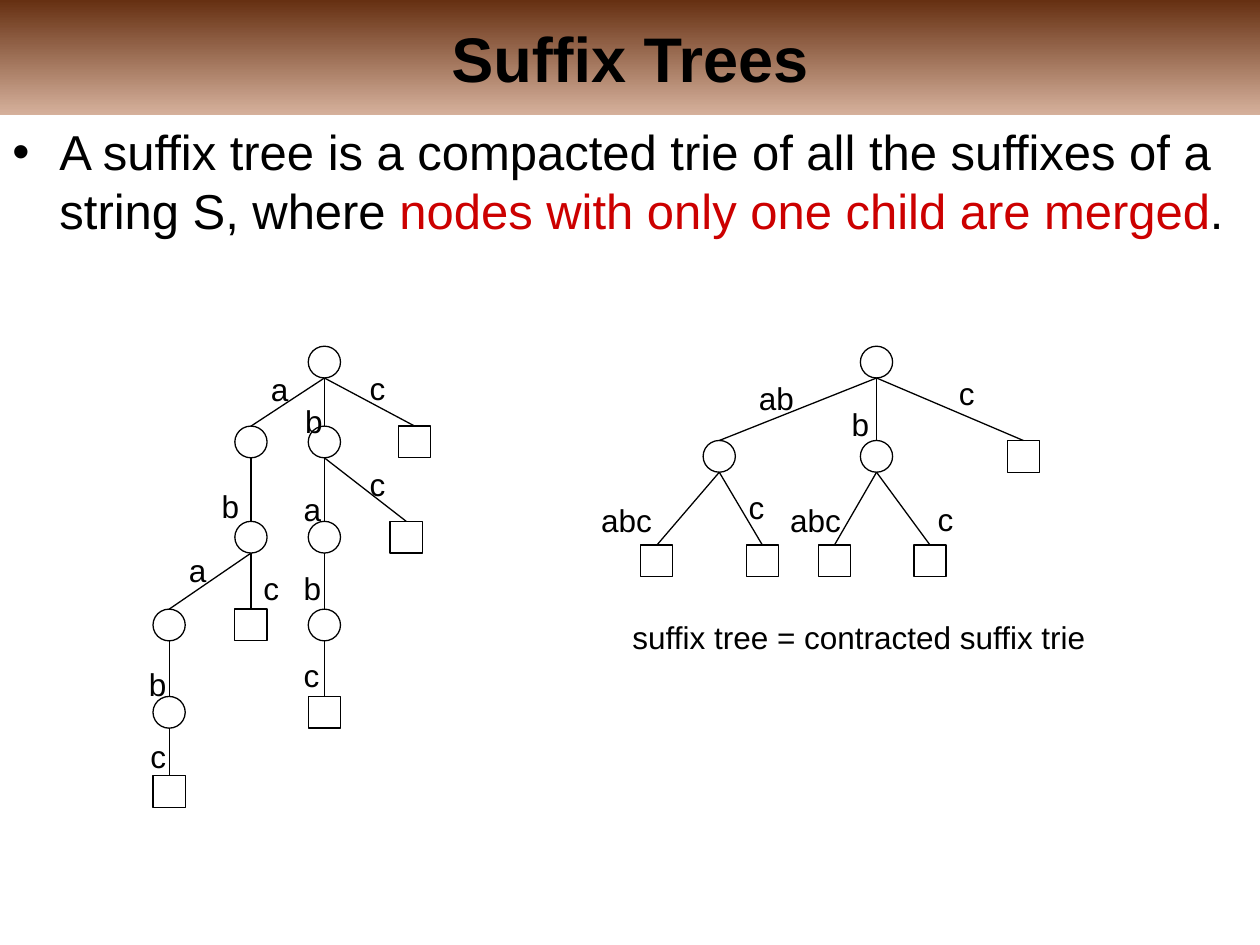
import dataclasses

import lxml.etree
import pptx
import pptx.dml.color
import pptx.enum.shapes
import pptx.enum.text
import pptx.oxml.ns
import pptx.util
from pptx.util import Cm, Pt

RGB = pptx.dml.color.RGBColor
SHAPE = pptx.enum.shapes.MSO_SHAPE
ALIGN = pptx.enum.text.PP_ALIGN
qn = pptx.oxml.ns.qn


@dataclasses.dataclass(frozen=True)
class Theme:
    font: str = "Arial"
    ink: RGB = RGB(0, 0, 0)
    accent: RGB = RGB(0xCC, 0, 0)
    banner_dark: RGB = RGB(0x66, 0x30, 0x12)
    banner_light: RGB = RGB(0xD6, 0xB1, 0x9C)
    title_size: pptx.util.Length = Pt(36)
    body_size: pptx.util.Length = Pt(28)
    label_size: pptx.util.Length = Pt(18)
    stroke: pptx.util.Length = Pt(0.75)


THEME = Theme()
NODE_WIDTH, NODE_HEIGHT = 0.65, 0.64
LABEL_HEIGHT = 1.02
LETTER_WIDTHS = {"a": 0.36, "b": 0.36, "c": 0.32}
LABEL_PADDING = 0.52

# Each node: path from the root, label of the edge above it, centre x, row,
# and the corner (x, y) of that label. All lengths are in cm.
TRIE_ROWS = (0, 1.61, 3.53, 5.3, 7.06, 8.66)
TRIE = (
    ("", "", 3.79, 0, None),
    ("a", "a", 2.31, 1, (2.46, 0.36)),
    ("b", "b", 3.79, 1, (3.15, 0.99)),
    ("c", "c", 5.61, 1, (4.45, 0.33)),
    ("ab", "b", 2.31, 2, (1.47, 2.72)),
    ("ba", "a", 3.79, 2, (3.12, 2.77)),
    ("bc", "c", 5.44, 2, (4.45, 2.26)),
    ("aba", "a", 0.66, 3, (0.81, 4.01)),
    ("abc", "c", 2.31, 3, (2.31, 4.37)),
    ("bab", "b", 3.79, 3, (3.12, 4.37)),
    ("abab", "b", 0.66, 4, (0, 6.3)),
    ("babc", "c", 3.79, 4, (3.12, 6.12)),
    ("ababc", "c", 0.66, 5, (0.03, 7.75)),
)
SUFFIX_TREE_ROWS = (0, 1.9, 4.01)
SUFFIX_TREE = (
    ("", "", 5.8, 0, None),
    ("ab", "ab", 2.63, 1, (3.18, 0.53)),
    ("b", "b", 5.8, 1, (5.05, 1.07)),
    ("c", "c", 8.76, 1, (7.21, 0.43)),
    ("ababc", "abc", 1.37, 2, (0, 3)),
    ("abc", "c", 3.5, 2, (2.97, 2.74)),
    ("babc", "abc", 4.95, 2, (3.81, 3)),
    ("bc", "c", 6.88, 2, (6.78, 2.97)),
)


def style(font, size, color=THEME.ink, bold=False):
    font.name, font.size, font.bold = THEME.font, size, bold
    font.color.rgb = color


def add_banner(slide, left, top, width, height):
    banner = slide.shapes.add_shape(SHAPE.RECTANGLE, Cm(left), Cm(top), Cm(width), Cm(height))
    banner.shadow.inherit = False
    banner.line.fill.background()
    banner.fill.gradient()
    banner.fill.gradient_angle = 270
    for stop, color in zip(banner.fill.gradient_stops, (THEME.banner_dark, THEME.banner_light)):
        stop.color.rgb = color
    banner.text_frame.text = "Suffix Trees"
    title = banner.text_frame.paragraphs[0]
    title.alignment = ALIGN.CENTER
    style(title.runs[0].font, THEME.title_size, bold=True)


def add_definition(slide, left, top, width, height):
    box = slide.shapes.add_textbox(Cm(left), Cm(top), Cm(width), Cm(height))
    box.text_frame.word_wrap = True
    definition = box.text_frame.paragraphs[0]
    properties = definition._p.get_or_add_pPr()
    properties.set("marL", str(Cm(0.95)))
    properties.set("indent", str(Cm(-0.95)))
    lxml.etree.SubElement(properties, qn("a:buFont"), typeface=THEME.font)
    lxml.etree.SubElement(properties, qn("a:buChar"), char="•")
    for wording, color in (
        ("A suffix tree is a compacted trie of all the suffixes of a string S, where ", THEME.ink),
        ("nodes with only one child are merged", THEME.accent),
        (".", THEME.ink),
    ):
        run = definition.add_run()
        run.text = wording
        style(run.font, THEME.body_size, color)


def add_label(shapes, wording, left, top, width):
    label = shapes.add_textbox(Cm(left), Cm(top), Cm(width), Cm(LABEL_HEIGHT))
    label.text_frame.word_wrap = False
    label.text_frame.auto_size = pptx.enum.text.MSO_AUTO_SIZE.SHAPE_TO_FIT_TEXT
    label.text_frame.text = wording
    style(label.text_frame.paragraphs[0].runs[0].font, THEME.label_size)


def add_node(shapes, center, top, is_leaf):
    kind = SHAPE.RECTANGLE if is_leaf else SHAPE.OVAL
    node = shapes.add_shape(
        kind, Cm(center - NODE_WIDTH / 2), Cm(top), Cm(NODE_WIDTH), Cm(NODE_HEIGHT))
    node.shadow.inherit = False
    node.fill.background()
    node.line.color.rgb = THEME.ink
    node.line.width = THEME.stroke
    return node


def add_edge(shapes, parent, child):
    """Join the bottom of the parent circle to the top of the child."""
    edge = shapes.add_connector(
        pptx.enum.shapes.MSO_CONNECTOR.STRAIGHT,
        parent.left + parent.width // 2, parent.top + parent.height, child.left, child.top)
    edge.end_connect(child, 0)
    edge.line.color.rgb = THEME.ink
    edge.line.width = THEME.stroke
    lxml.etree.SubElement(edge._element.spPr, qn("a:effectLst"))


def add_tree(slide, left, top, branches, rows):
    shapes = slide.shapes.add_group_shape().shapes
    nodes = {
        path: add_node(shapes, left + x, top + rows[row], path.endswith("c"))
        for path, _, x, row, _ in branches
    }
    inner = branches[1:]
    for path, letters, *_ in inner:
        add_edge(shapes, nodes[path.removesuffix(letters)], nodes[path])
    for _, letters, _, _, (x, y) in inner:
        width = LABEL_PADDING + sum(LETTER_WIDTHS[letter] for letter in letters)
        add_label(shapes, letters, left + x, top + y, width)


def main():
    deck = pptx.Presentation()
    deck.slide_width, deck.slide_height = Cm(25.4), Cm(19.05)
    slide = deck.slides.add_slide(deck.slide_layouts[6])
    add_banner(slide, 0, 0, 25.4, 2.33)
    add_definition(slide, 0, 2.33, 25.4, 16.72)
    add_tree(slide, 2.75, 6.98, TRIE, TRIE_ROWS)
    add_tree(slide, 11.87, 6.98, SUFFIX_TREE, SUFFIX_TREE_ROWS)
    add_label(slide.shapes, "suffix tree = contracted suffix trie", 12.5, 12.33, 9.65)
    deck.save("out.pptx")


if __name__ == "__main__":
    main()
